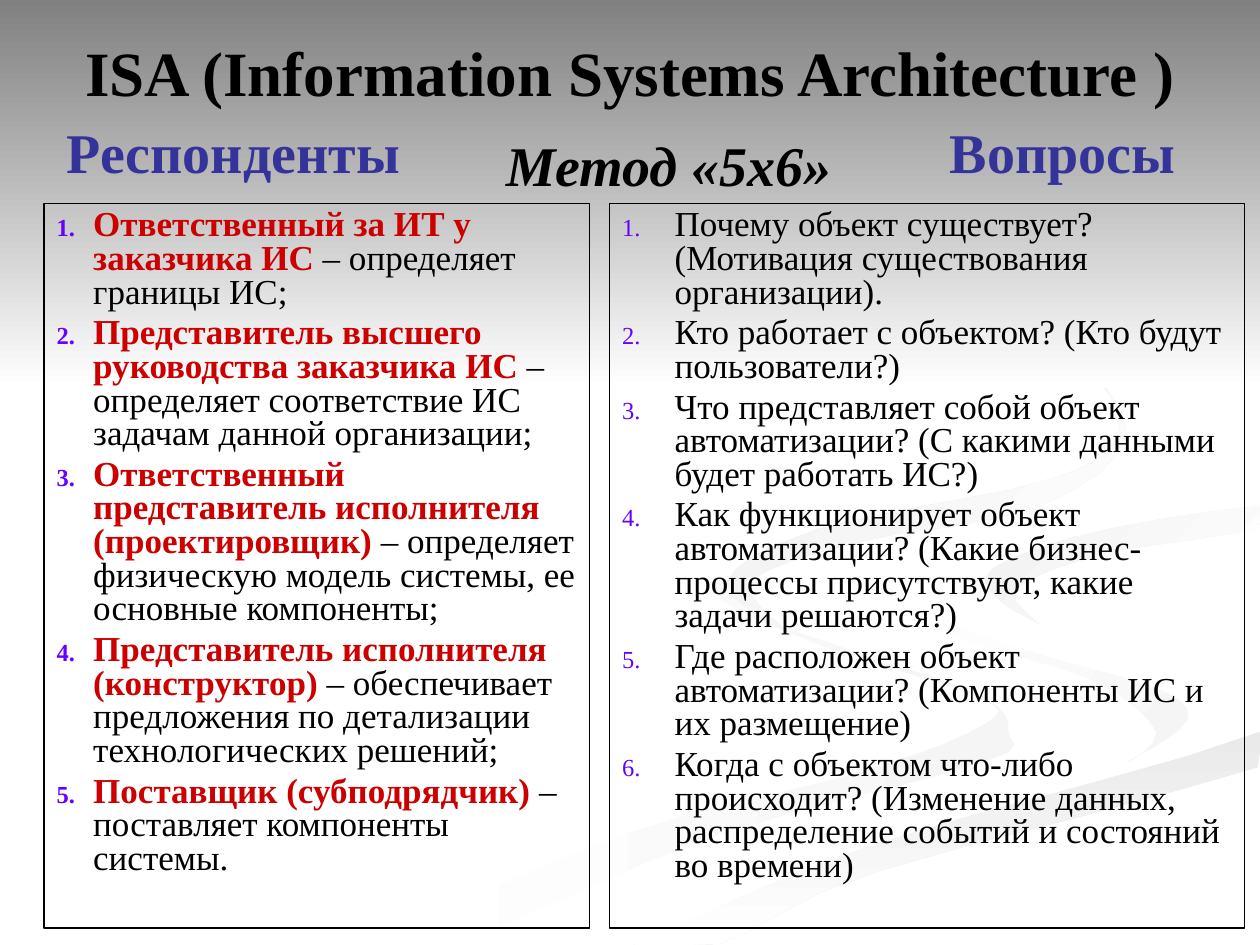
"""Build the slide on the ISA «5х6» method: respondents and questions."""
from dataclasses import dataclass

import pptx
import pptx.dml.color
import pptx.enum.shapes
import pptx.enum.text
import pptx.oxml.ns
import pptx.util
from lxml import etree

Cm = pptx.util.Cm
Pt = pptx.util.Pt
RGBColor = pptx.dml.color.RGBColor
Anchor = pptx.enum.text.MSO_ANCHOR
RECTANGLE = pptx.enum.shapes.MSO_SHAPE.RECTANGLE

FONT = "Times New Roman"
BLACK = RGBColor.from_string("000000")
WHITE = RGBColor.from_string("FFFFFF")
GREY = RGBColor.from_string("808080")
MIST = RGBColor.from_string("F5F5F5")
PEARL = RGBColor.from_string("F1F1F1")
HAZE = RGBColor.from_string("EDEDED")
SILVER = RGBColor.from_string("EAEAEA")
RED = RGBColor.from_string("CC0000")
BLUE = RGBColor.from_string("333399")
VIOLET = RGBColor.from_string("6600FF")
POINT_UNIT = Cm(0.0254)
RIGHT_EDGE, BOTTOM_EDGE = 1000, 750
CURVE_STEPS = 4
LINE_SPACING = 0.8
LABEL_TOP = 2.51
LIST_TOP, LIST_HEIGHT = 4.11, 14.6

Point = tuple[float, float]


@dataclass
class Ribbon:
    """A smooth closed background outline with a two-colour gradient."""
    knots: list[Point]
    start: RGBColor
    end: RGBColor
    angle: int


@dataclass
class Label:
    """A single centred line of text."""
    text: str
    left: float
    width: float
    height: float
    top: float = LABEL_TOP
    size: int = 32
    color: RGBColor = BLACK
    italic: bool = False
    spacing: float = 1.0
    anchor: Anchor = Anchor.TOP


@dataclass
class Item:
    """A numbered item with an optional highlighted lead."""
    rest: str
    lead: str = ""


@dataclass
class ListBox:
    """A framed numbered list."""
    left: float
    width: float
    indent: float
    items: list[Item]


RIBBONS = [
    Ribbon([(781, 553), (682, 519), (594, 485), (575, 459), (572, 476), (654, 513), (776, 553),
            (783, 574), (684, 613), (499, 661), (300, 749), (361, 749), (564, 665), (780, 605),
            (800, 581)], WHITE, MIST, 0),
    Ribbon([(943, 570), (905, 540), (774, 503), (724, 464), (746, 500), (868, 540), (918, 581),
            (894, 605)], WHITE, MIST, 45),
    Ribbon([(503, 749), (571, 749), (695, 692), (998, 609), (998, 581), (797, 638), (630, 693)],
           SILVER, WHITE, 90),
    Ribbon([(725, 464), (775, 503), (920, 547), (943, 570), (902, 603), (663, 668), (477, 749),
            (503, 749), (696, 669), (999, 581), (999, 538), (848, 503), (782, 460), (850, 427),
            (999, 402), (999, 387), (770, 427)], WHITE, WHITE, 0),
    Ribbon([(781, 460), (826, 496), (806, 468), (878, 439), (998, 420), (998, 402), (849, 427)],
           PEARL, WHITE, 45),
    Ribbon([(683, 430), (825, 402), (894, 344), (843, 275), (762, 233), (846, 279), (889, 335),
            (842, 378), (649, 420), (577, 462), (622, 500), (596, 461)], HAZE, WHITE, 45),
]

LABELS = [
    Label("ISA (Information Systems Architecture )", 1.27, 22.86, 1.37, top=0.76, size=36,
          anchor=Anchor.MIDDLE),
    Label("Респонденты", 1.09, 7.24, 1.35, color=BLUE, spacing=LINE_SPACING),
    Label("Вопросы", 18.9, 5.05, 1.35, color=BLUE, spacing=LINE_SPACING),
    Label("Метод «5х6»", 9.91, 7.14, 1.6, italic=True),
]

LISTS = [
    ListBox(0.89, 11, 0.74, [
        Item(" – определяет границы ИС;", "Ответственный за ИТ у заказчика ИС"),
        Item(" – определяет соответствие ИС задачам данной организации;",
             "Представитель высшего руководства заказчика ИС"),
        Item(" – определяет физическую модель системы, ее основные компоненты;",
             "Ответственный представитель исполнителя (проектировщик)"),
        Item(" – обеспечивает предложения по детализации технологических решений;",
             "Представитель исполнителя (конструктор)"),
        Item(" – поставляет компоненты системы.", "Поставщик (субподрядчик)"),
    ]),
    ListBox(12.29, 12.8, 1.06, [
        Item("Почему объект существует? (Мотивация существования организации)."),
        Item("Кто работает с объектом? (Кто будут пользователи?)"),
        Item("Что представляет собой объект автоматизации? (С какими данными будет работать ИС?)"),
        Item("Как функционирует объект автоматизации? (Какие бизнес-процессы присутствуют, "
             "какие задачи решаются?)"),
        Item("Где расположен объект автоматизации? (Компоненты ИС и их размещение)"),
        Item("Когда с объектом что-либо происходит? (Изменение данных, распределение событий "
             "и состояний во времени)"),
    ]),
]


def spline(a: float, b: float, c: float, d: float, t: float) -> float:
    return b + t / 2 * (c - a + t * (2 * a - 5 * b + 4 * c - d + t * (3 * (b - c) + d - a)))


def smooth(knots: list[Point]) -> list[Point]:
    points = []
    for i in range(len(knots)):
        xs, ys = zip(*(knots[(i + k) % len(knots)] for k in (-1, 0, 1, 2)))
        for step in range(CURVE_STEPS):
            t = step / CURVE_STEPS
            points.append((min(spline(*xs, t), RIGHT_EDGE), min(spline(*ys, t), BOTTOM_EDGE)))
    return points


def paint_gradient(sp, start: RGBColor, end: RGBColor, angle: int) -> None:
    sp.shadow.inherit = False
    sp.line.fill.background()
    sp.fill.gradient()
    sp.fill.gradient_angle = -angle % 360
    for stop, color in zip(sp.fill.gradient_stops, (start, end)):
        stop.color.rgb = color


def draw_ribbon(s, ribbon: Ribbon) -> None:
    first, *others = smooth(ribbon.knots)
    builder = s.shapes.build_freeform(*first, scale=POINT_UNIT)
    builder.add_line_segments(others, close=True)
    paint_gradient(builder.convert_to_shape(), ribbon.start, ribbon.end, ribbon.angle)


def add_run(p, text: str, size: int, color: RGBColor, bold: bool, italic: bool = False) -> None:
    r = p.add_run()
    r.text = text
    r.font.name, r.font.size = FONT, Pt(size)
    r.font.bold, r.font.italic = bold, italic
    r.font.color.rgb = color


def draw_label(s, label: Label) -> None:
    box = (label.left, label.top, label.width, label.height)
    tf = s.shapes.add_textbox(*map(Cm, box)).text_frame
    tf.word_wrap, tf.vertical_anchor = False, label.anchor
    p = tf.paragraphs[0]
    p.alignment = pptx.enum.text.PP_ALIGN.CENTER
    p.line_spacing = label.spacing
    add_run(p, label.text, label.size, label.color, True, label.italic)


def number_paragraph(p, indent: float) -> None:
    qn = pptx.oxml.ns.qn
    pPr = p._p.get_or_add_pPr()
    pPr.set("marL", str(Cm(indent)))
    pPr.set("indent", str(-Cm(indent)))
    color = etree.SubElement(pPr, qn("a:buClr"))
    etree.SubElement(color, qn("a:srgbClr"), val=str(VIOLET))
    etree.SubElement(pPr, qn("a:buSzPct"), val="70000")
    etree.SubElement(pPr, qn("a:buAutoNum"), type="arabicPeriod")


def draw_list(s, box: ListBox) -> None:
    sp = s.shapes.add_shape(RECTANGLE, *map(Cm, (box.left, LIST_TOP, box.width, LIST_HEIGHT)))
    sp.shadow.inherit = False
    sp.fill.background()
    sp.line.color.rgb, sp.line.width = BLACK, Pt(0.75)
    tf = sp.text_frame
    tf.word_wrap, tf.vertical_anchor = True, Anchor.TOP
    for i, item in enumerate(box.items):
        p = tf.add_paragraph() if i else tf.paragraphs[0]
        p.alignment = pptx.enum.text.PP_ALIGN.LEFT
        p.line_spacing, p.space_before = LINE_SPACING, Pt(4)
        number_paragraph(p, box.indent)
        if item.lead:
            add_run(p, item.lead, 20, RED, True)
        add_run(p, item.rest, 20, BLACK, False)


def main() -> None:
    prs = pptx.Presentation()
    prs.slide_width, prs.slide_height = Cm(25.4), Cm(19.05)
    s = prs.slides.add_slide(prs.slide_layouts[6])
    for ribbon in RIBBONS:
        draw_ribbon(s, ribbon)
    header = s.shapes.add_shape(RECTANGLE, 0, 0, prs.slide_width, Cm(7.82))
    paint_gradient(header, GREY, WHITE, 90)
    for box in LISTS:
        draw_list(s, box)
    for label in LABELS:
        draw_label(s, label)
    prs.save("out.pptx")


if __name__ == "__main__":
    main()
